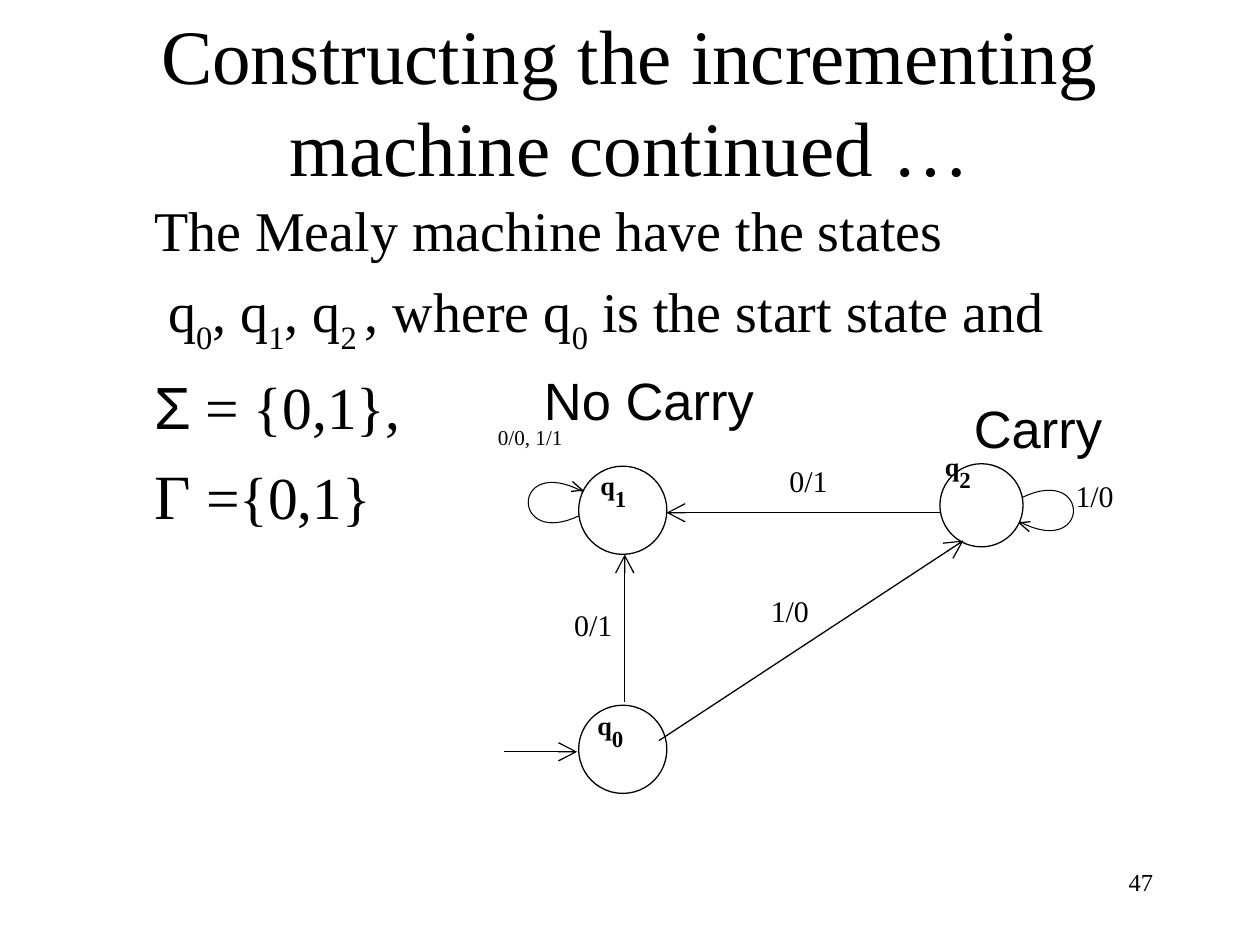
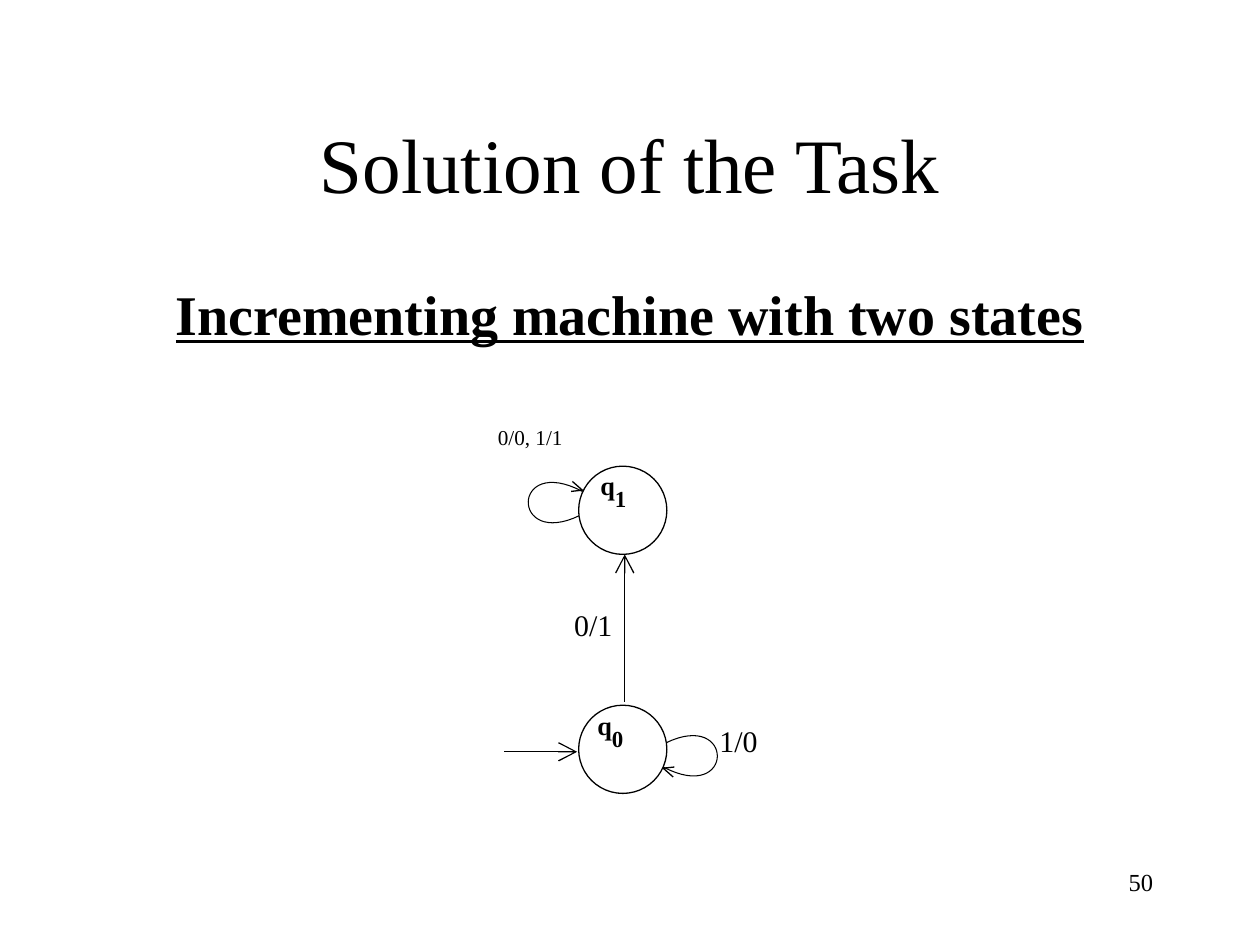
from dataclasses import dataclass

from lxml.etree import SubElement
from pptx import Presentation
from pptx.dml.color import RGBColor
from pptx.enum.shapes import MSO_CONNECTOR, MSO_SHAPE
from pptx.enum.text import MSO_ANCHOR, PP_ALIGN
from pptx.oxml.ns import qn
from pptx.util import Pt


@dataclass(frozen=True)
class Theme:
    ink: RGBColor = RGBColor(0, 0, 0)
    paper: RGBColor = RGBColor(255, 255, 255)
    serif: str = "Times New Roman"
    sans: str = "Arial"
    title: float = 44
    body: float = 32
    symbol: float = 34
    gamma: float = 36
    caption: float = 30
    edge: float = 17.1
    small_edge: float = 12.1
    state: float = 15
    state_index: float = 22.5
    page_number: float = 14
    line: float = 0.75
    loop_line: float = 0.6


THEME = Theme()

# A run is a text, or a text with its own settings.
SUB = {"sub": True}
SIGMA = {"size": THEME.symbol, "name": THEME.sans}
SYMBOL = {"size": THEME.symbol}
GAMMA = {"size": THEME.gamma}

# State: circle left, top, diameter; label left, top; index
Q0 = (330.7, 403, 50.4, 334.3, 396.2, "0")
Q1 = (330.7, 266.4, 50.4, 336, 259.2, "1")
Q2 = (537.1, 265, 47.5, 532.8, 248.4, "2")

START_ARROW = (288, 429.6, 329.8, 429.6)
Q0_TO_Q1 = (357, 401, 357, 316.8)
Q0_TO_Q2 = (376.6, 423.2, 550.6, 308.9)
Q2_TO_Q1 = (537.1, 293, 380.9, 293)

# Loop: start x, start y, side (1 opens right, -1 opens left)
Q0_LOOP = (380.4, 424.6, 1)
Q1_LOOP = (331.4, 294.5, -1)
Q2_LOOP = (583.9, 284.4, 1)

# Edge label: text, left, top, size
Q0_TO_Q1_LABEL = ("0/1", 321, 347, THEME.edge)
Q1_LOOP_LABEL = ("0/0, 1/1", 277.4, 241.5, THEME.small_edge)

SLIDES = [
    {
        "title": "Constructing the incrementing machine continued …",
        "title_top": 12,
        "body_top": 108,
        "body_style": {"left_margin": 27},
        "body": [
            (0, ["The Mealy machine have the states"]),
            (8, [" q", ("0", SUB), ", q", ("1", SUB), ", q", ("2 ", SUB),
                 ", where q", ("0", SUB), " is the start state and"]),
            (8.5, [("Σ", SIGMA), (" = {0,1},", SYMBOL)]),
            (8.5, [("Γ ", GAMMA), ("={0,1}", SYMBOL)]),
        ],
        "loops": [Q2_LOOP, Q1_LOOP],
        "states": [Q0, Q2, Q1],
        "arrows": [Q2_TO_Q1, Q0_TO_Q1, START_ARROW, Q0_TO_Q2],
        "edge_labels": [
            Q0_TO_Q1_LABEL,
            ("1/0", 607.5, 273.2, THEME.edge),
            ("0/1", 444, 264.5, THEME.edge),
            ("1/0", 433.4, 339.1, THEME.edge),
            Q1_LOOP_LABEL,
        ],
        "captions": [("Carry", 549.4, 223, 100),
                     ("No Carry", 303.8, 206.6, 150)],
        "page_number": "47",
    },
    {
        "title": "Solution of the Task",
        "title_top": 48,
        "body_top": 156,
        "body_style": {"align": PP_ALIGN.CENTER, "bold": True, "underline": True},
        "body": [(0, ["Incrementing machine with two states"])],
        "loops": [Q0_LOOP, Q1_LOOP],
        "states": [Q0, Q1],
        "arrows": [Q0_TO_Q1, START_ARROW],
        "edge_labels": [
            Q0_TO_Q1_LABEL,
            ("1/0", 404, 413.3, THEME.edge),
            Q1_LOOP_LABEL,
        ],
        "captions": [],
        "page_number": "50",
    },
]

# Offsets from the start of a loop that opens to the right
LOOP_CONTROLS = [(0, 0), (39.6, -19.4), (39.6, 35.3), (-1.4, 13.7)]
LOOP_HEAD = [(4.3, 19.4), (-1.4, 14.4), (5, 13.7)]
LOOP_STEPS = 32


def add_text(slide, box, paragraphs, size, name=THEME.serif, align=PP_ALIGN.LEFT,
             anchor=MSO_ANCHOR.TOP, spacing=None, left_margin=0, bold=None,
             underline=None):
    """Each paragraph is (space before, runs)."""
    frame = slide.shapes.add_textbox(*map(Pt, box)).text_frame
    frame.word_wrap = True
    frame.vertical_anchor = anchor
    for index, (space_before, runs) in enumerate(paragraphs):
        paragraph = frame.add_paragraph() if index else frame.paragraphs[0]
        paragraph.alignment = align
        if spacing:
            paragraph.line_spacing = spacing
        if space_before:
            paragraph.space_before = Pt(space_before)
        if left_margin:
            paragraph._p.get_or_add_pPr().set("marL", str(Pt(left_margin)))
        font = paragraph.font
        font.size, font.name = Pt(size), name
        font.bold, font.underline = bold, underline
        font.color.rgb = THEME.ink
        for item in runs:
            text, settings = (item, {}) if isinstance(item, str) else item
            add_run(paragraph, text, **settings)


def add_run(paragraph, text, size=None, name=None, sub=False):
    run = paragraph.add_run()
    run.text = text
    if size:
        run.font.size = Pt(size)
    if name:
        run.font.name = name
    if sub:
        run._r.get_or_add_rPr().set("baseline", "-30000")


def set_line(shape, width):
    shape.line.color.rgb = THEME.ink
    shape.line.width = Pt(width)


def add_path(slide, points, width):
    first, *rest = [(Pt(x), Pt(y)) for x, y in points]
    builder = slide.shapes.build_freeform(*first)
    builder.add_line_segments(rest, close=False)
    shape = builder.convert_to_shape()
    shape.shadow.inherit = False
    shape.fill.background()
    set_line(shape, width)


def bezier_point(controls, t):
    weights = ((1 - t) ** 3, 3 * t * (1 - t) ** 2, 3 * t ** 2 * (1 - t), t ** 3)
    return tuple(sum(w * p[axis] for w, p in zip(weights, controls))
                 for axis in (0, 1))


def add_loop(slide, x, y, side):
    """A loop on the left is the right one turned by half a circle."""
    curve = [bezier_point(LOOP_CONTROLS, step / LOOP_STEPS)
             for step in range(LOOP_STEPS + 1)]
    for offsets, width in ((curve, THEME.loop_line), (LOOP_HEAD, THEME.line)):
        add_path(slide, [(x + side * dx, y + side * dy) for dx, dy in offsets], width)


def add_state(slide, left, top, diameter, label_left, label_top, index):
    circle = slide.shapes.add_shape(
        MSO_SHAPE.OVAL, Pt(left), Pt(top), Pt(diameter), Pt(diameter))
    circle.shadow.inherit = False
    circle.fill.solid()
    circle.fill.fore_color.rgb = THEME.paper
    set_line(circle, THEME.line)
    runs = ["q", (index, {"size": THEME.state_index, "sub": True})]
    add_text(slide, (label_left, label_top, 69, 32.4), [(0, runs)],
             THEME.state, spacing=0.8, bold=True)


def add_arrow(slide, *ends):
    arrow = slide.shapes.add_connector(MSO_CONNECTOR.STRAIGHT, *map(Pt, ends))
    set_line(arrow, THEME.line)
    SubElement(arrow.line._get_or_add_ln(), qn("a:tailEnd"),
               type="arrow", w="lg", len="lg")
    SubElement(arrow._element.spPr, qn("a:effectLst"))


def build_slide(presentation, content):
    slide = presentation.slides.add_slide(presentation.slide_layouts[6])
    add_text(slide, (516, 492, 150, 36), [(0, [content["page_number"]])],
             THEME.page_number, align=PP_ALIGN.RIGHT)
    add_text(slide, (54, content["title_top"], 612, 90), [(0, [content["title"]])],
             THEME.title, align=PP_ALIGN.CENTER, anchor=MSO_ANCHOR.MIDDLE)
    add_text(slide, (54, content["body_top"], 612, 324), content["body"],
             THEME.body, **content["body_style"])
    for loop in content["loops"]:
        add_loop(slide, *loop)
    for state in content["states"]:
        add_state(slide, *state)
    for arrow in content["arrows"]:
        add_arrow(slide, *arrow)
    for text, left, top, size in content["edge_labels"]:
        width, height = (72.7, 29.5) if size == THEME.edge else (84.2, 23.8)
        add_text(slide, (left, top, width, height), [(0, [text])], size, spacing=0.8)
    for text, left, top, width in content["captions"]:
        add_text(slide, (left, top, width, 43.2), [(0, [text])],
                 THEME.caption, name=THEME.sans)


def main():
    presentation = Presentation()
    presentation.slide_width, presentation.slide_height = Pt(720), Pt(540)
    for content in SLIDES:
        build_slide(presentation, content)
    presentation.save("out.pptx")


if __name__ == "__main__":
    main()
